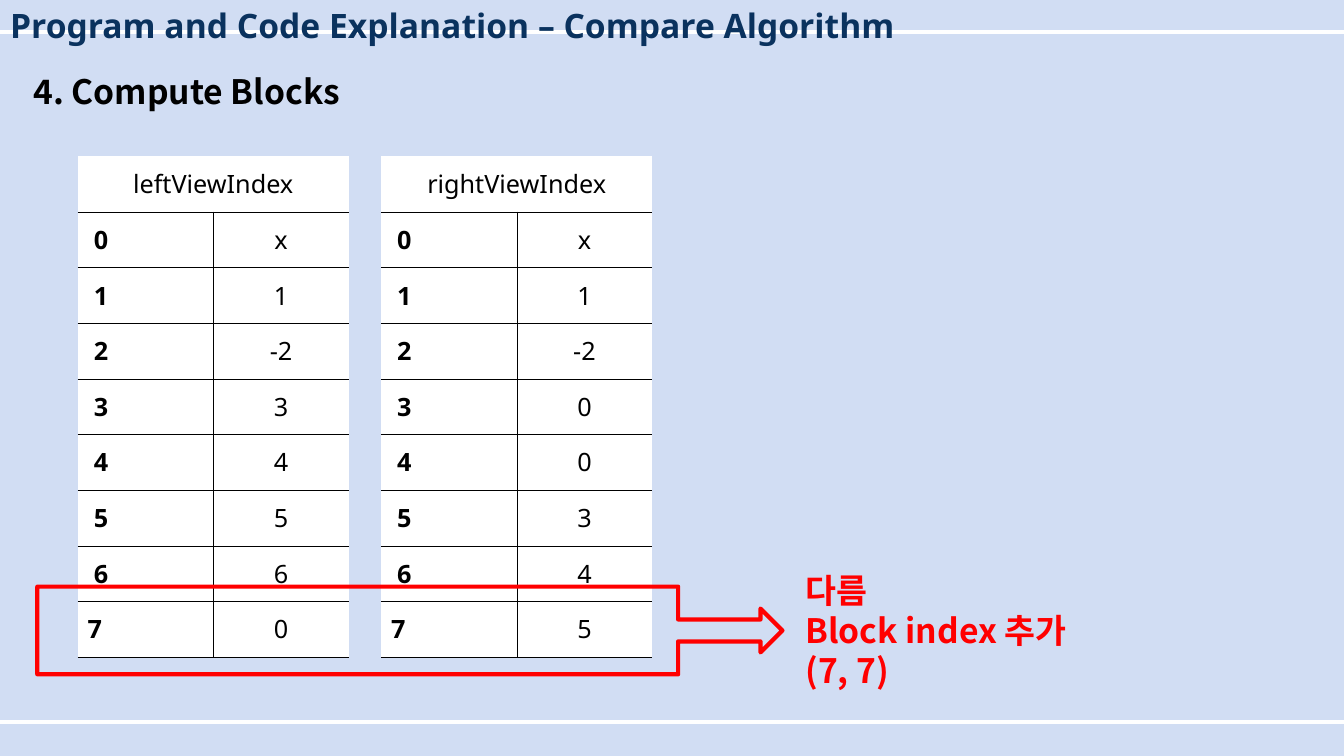
from lxml import etree
from pptx import Presentation
from pptx import util as u
from pptx.dml.color import RGBColor
from pptx.enum import shapes, text
from pptx.oxml import ns

W, H = 13.33, 7.5
BACKGROUND = RGBColor(0xD1, 0xDD, 0xF3)
WHITE = RGBColor(0xFF, 0xFF, 0xFF)
BLACK = RGBColor(0, 0, 0)
NAVY = RGBColor(0x0A, 0x32, 0x5E)
RED = RGBColor(0xFF, 0, 0)
LATIN, KOREAN = "Noto Sans", "Noto Sans CJK KR"
NO_STYLE = "{2D5ABB26-0587-4C30-8999-92F81FD0307C}"

TABLE_TOP, TABLE_W, ROW_H = 1.55, 2.69, 4.97 / 9
TABLES = [
    (0.77, "leftViewIndex", ["x", "1", "-2", "3", "4", "5", "6", "0"]),
    (3.78, "rightViewIndex", ["x", "1", "-2", "0", "0", "3", "4", "5"]),
]


def inches(*box):
    return [u.Inches(v) for v in box]


def add_run(p, words, size, font, color, bold):
    r = p.add_run()
    r.text = words
    f = r.font
    f.size, f.name, f.bold = u.Pt(size), font, bold
    f.color.rgb = color
    etree.SubElement(r._r.get_or_add_rPr(), ns.qn("a:ea"), typeface=font)


def write_lines(sp, box, lines, font, color):
    """Bold left-aligned lines, one paragraph each, in a box or placeholder."""
    sp.left, sp.top, sp.width, sp.height = inches(*box)
    tf = sp.text_frame
    tf.word_wrap = True
    tf.auto_size = text.MSO_AUTO_SIZE.NONE
    tf.vertical_anchor = text.MSO_ANCHOR.TOP
    for i, words in enumerate(lines):
        p = tf.add_paragraph() if i else tf.paragraphs[0]
        pPr = p._p.get_or_add_pPr()
        pPr.set("marL", "0")
        pPr.set("indent", "0")
        etree.SubElement(pPr, ns.qn("a:buNone"))
        p.alignment = text.PP_ALIGN.LEFT
        p.space_before = u.Pt(0)
        add_run(p, words, 24, font, color, True)


def add_rule(s, y):
    """White line across the slide, behind everything else."""
    line = s.shapes.add_connector(shapes.MSO_CONNECTOR.STRAIGHT, *inches(0, y, W, y))
    line.line.color.rgb = WHITE
    line.line.width = u.Pt(3)
    etree.SubElement(line._element.spPr, ns.qn("a:effectLst"))
    s.shapes._spTree.insert(2, line._element)


def fill_cell(cell, words, bold, align, sides):
    cell.fill.solid()
    cell.fill.fore_color.rgb = WHITE
    cell.vertical_anchor = text.MSO_ANCHOR.MIDDLE
    p = cell.text_frame.paragraphs[0]
    p.alignment = align
    add_run(p, words, 18, LATIN, BLACK, bold)
    set_borders(cell, sides)


def set_borders(cell, sides):
    """Thin black lines on the sides named, none on the others."""
    tcPr = cell._tc.get_or_add_tcPr()
    for i, side in enumerate("LRTB"):
        ln = etree.Element(ns.qn("a:ln" + side), w="3175")
        if side in sides:
            fill = etree.SubElement(ln, ns.qn("a:solidFill"))
            etree.SubElement(fill, ns.qn("a:srgbClr"), val=str(BLACK))
        else:
            etree.SubElement(ln, ns.qn("a:noFill"))
        tcPr.insert(i, ln)


def add_index_table(s, left, heading, values):
    rows = len(values) + 1
    frame = s.shapes.add_table(rows, 2, *inches(left, TABLE_TOP, TABLE_W, ROW_H * rows))
    table = frame.table
    table.first_row = table.horz_banding = False
    table._tbl.tblPr.find(ns.qn("a:tableStyleId")).text = NO_STYLE
    for row in table.rows:
        row.height = u.Inches(ROW_H)
    # Heading across both columns
    table.cell(0, 0).merge(table.cell(0, 1))
    fill_cell(table.cell(0, 0), heading, False, text.PP_ALIGN.CENTER, "B")
    set_borders(table.cell(0, 1), "B")
    # Index and value
    for i, value in enumerate(values):
        key = table.cell(i + 1, 0)
        fill_cell(key, str(i), True, text.PP_ALIGN.LEFT, "RTB")
        key.margin_left = u.Inches(0.1 if i == len(values) - 1 else 0.16)
        fill_cell(table.cell(i + 1, 1), value, False, text.PP_ALIGN.CENTER, "LTB")


def add_difference(s, box, lines):
    """Red arrow frame around the last row, with its note to the right."""
    left, top, width, height = box
    sp = s.shapes.add_shape(shapes.MSO_SHAPE.RIGHT_ARROW_CALLOUT, *inches(*box))
    for i, share in enumerate([0.25, 0.25, 0.25, 0.86]):
        sp.adjustments[i] = share
    sp.shadow.inherit = False
    sp.fill.background()
    sp.line.color.rgb = RED
    sp.line.width = u.Pt(3)
    note = (left + width + 0.13, top - 0.22, 3.92, 1.31)
    write_lines(s.shapes.add_textbox(*inches(*note)), note, lines, KOREAN, RED)


def main():
    prs = Presentation()
    prs.slide_width, prs.slide_height = inches(W, H)
    s = prs.slides.add_slide(prs.slide_layouts[1])
    s.background.fill.solid()
    s.background.fill.fore_color.rgb = BACKGROUND
    for y in (0.32, 7.16):
        add_rule(s, y)

    # Title and heading
    write_lines(s.shapes.title, (0, 0, 11.02, 0.5),
                ["Program and Code Explanation – Compare Algorithm"], LATIN, NAVY)
    write_lines(s.placeholders[1], (0.23, 0.65, 8.28, 0.5),
                ["4. Compute Blocks"], KOREAN, BLACK)

    for left, heading, values in TABLES:
        add_index_table(s, left, heading, values)
    add_difference(s, (0.37, 5.82, 7.39, 0.87),
                   ["다름", "Block index 추가", "(7, 7)"])
    prs.save("out.pptx")


if __name__ == "__main__":
    main()
